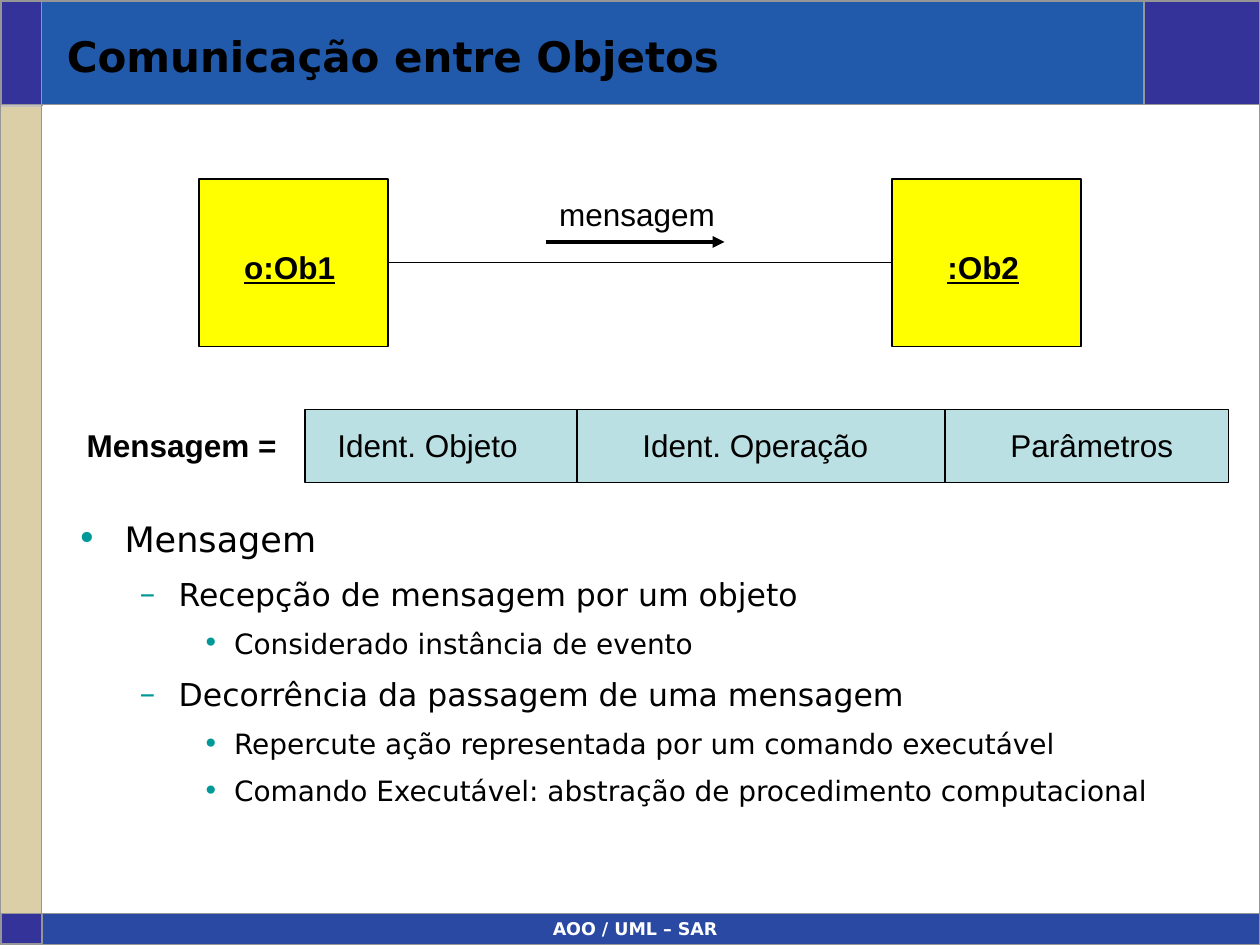
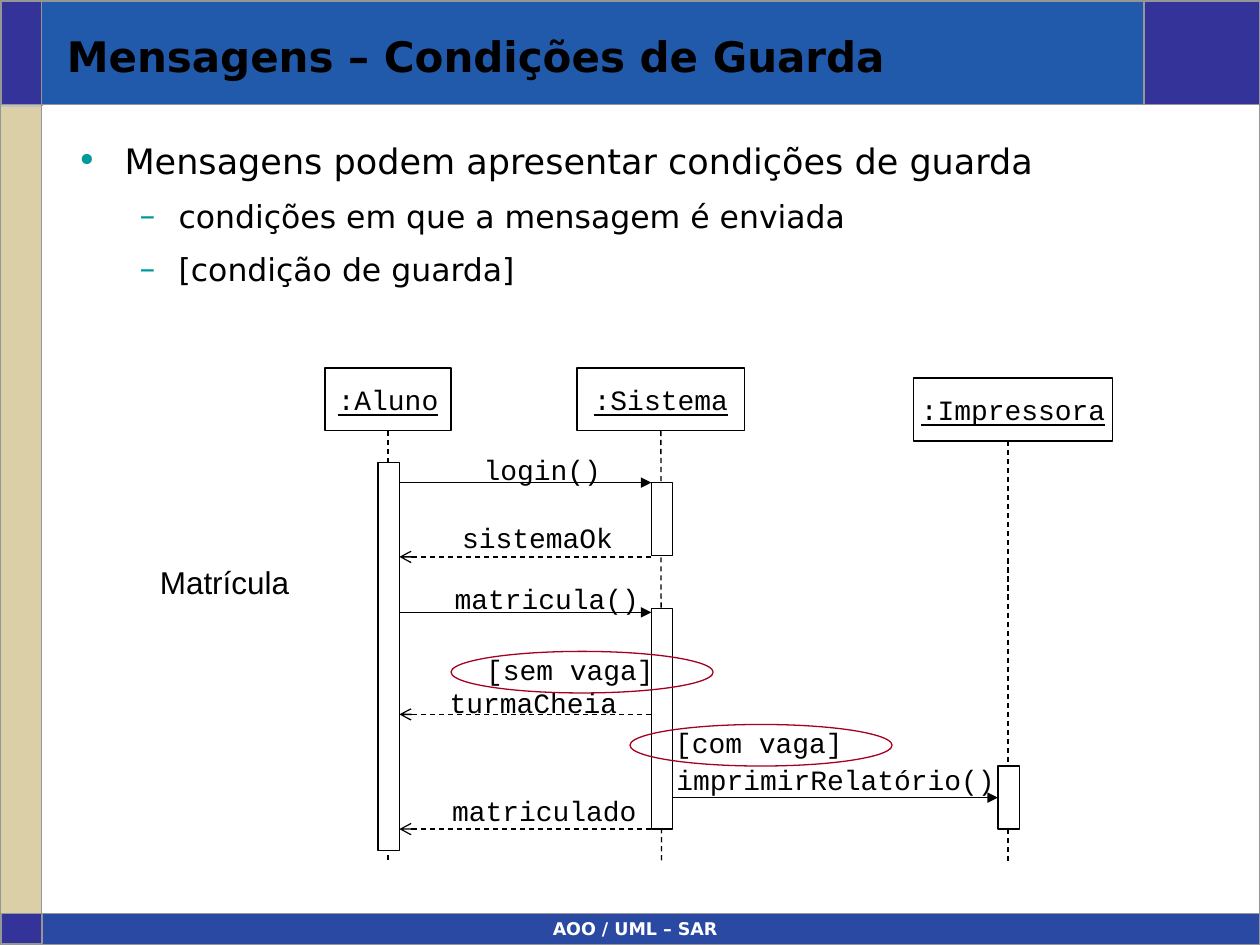
from lxml.etree import SubElement
from pptx import Presentation
from pptx.dml.color import RGBColor
from pptx.enum.dml import MSO_LINE
from pptx.enum.shapes import MSO_CONNECTOR, MSO_SHAPE
from pptx.enum.text import MSO_ANCHOR, MSO_AUTO_SIZE, PP_ALIGN
from pptx.oxml.ns import qn
from pptx.util import Inches, Pt

BLACK = RGBColor(0x00, 0x00, 0x00)
WHITE = RGBColor(0xFF, 0xFF, 0xFF)
GRAY = RGBColor(0x96, 0x96, 0x96)
SILVER = RGBColor(0xC0, 0xC0, 0xC0)
INDIGO = RGBColor(0x33, 0x33, 0x99)
BLUE = RGBColor(0x21, 0x59, 0xAB)
FOOTER_BLUE = RGBColor(0x29, 0x49, 0xA3)
SAND = RGBColor(0xDA, 0xCF, 0xA6)
TEAL = RGBColor(0x00, 0x99, 0x99)
YELLOW = RGBColor(0xFF, 0xFF, 0x00)
PALE_BLUE = RGBColor(0xBB, 0xE0, 0xE3)
RED = RGBColor(0xA5, 0x00, 0x21)

SANS, ARIAL, MONO = "DejaVu Sans", "Arial", "Courier New"
TITLES = ["Comunicação entre Objetos", "Mensagens – Condições de Guarda"]

# Top of the bullet text and its (level, text) items, per slide
BODIES = [
    (3.99, [
        (0, "Mensagem"),
        (1, "Recepção de mensagem por um objeto"),
        (2, "Considerado instância de evento"),
        (1, "Decorrência da passagem de uma mensagem"),
        (2, "Repercute ação representada por um comando executável"),
        (2, "Comando Executável: abstração de procedimento computacional"),
    ]),
    (0.99, [
        (0, "Mensagens podem apresentar condições de guarda"),
        (1, "condições em que a mensagem é enviada"),
        (1, "[condição de guarda]"),
    ]),
]
BODY_BOTTOM = 6.83
# Bullet, left margin, hanging indent, size, space before, per level
LEVELS = [("•", 0.38, 0.38, 20, 5), ("–", 0.81, 0.31, 18, 4.5), ("•", 1.25, 0.25, 16, 4)]


def add_box(s, at, text=None, size=18, font=ARIAL, color=BLACK, bold=None, underline=None,
            shape=None, fill=None, line=None, width=0.75, align=None, wrap=False):
    """Add a text box, or a preset shape when one is given."""
    pos = [Inches(v) for v in at]
    if shape is None:
        sp = s.shapes.add_textbox(*pos)
    else:
        sp = s.shapes.add_shape(shape, *pos)
        sp.shadow.inherit = False
        if fill is None:
            sp.fill.background()
        else:
            sp.fill.solid()
            sp.fill.fore_color.rgb = fill
        if line is None:
            sp.line.fill.background()
        else:
            sp.line.color.rgb = line
            sp.line.width = Pt(width)
    if text:
        tf = sp.text_frame
        tf.word_wrap = wrap
        if shape is None and not wrap:
            tf.auto_size = MSO_AUTO_SIZE.SHAPE_TO_FIT_TEXT
        p = tf.paragraphs[0]
        p.alignment = align
        r = p.add_run()
        r.text = text
        r.font.name, r.font.size = font, Pt(size)
        r.font.bold, r.font.underline = bold, underline
        r.font.color.rgb = color
    return sp


def add_line(s, x1, y1, x2, y2, color=BLACK, width=0.75, dash=False, head=None):
    cx = s.shapes.add_connector(MSO_CONNECTOR.STRAIGHT, *[Inches(v) for v in (x1, y1, x2, y2)])
    cx.line.color.rgb = color
    cx.line.width = Pt(width)
    if dash:
        cx.line.dash_style = MSO_LINE.DASH
    if head:
        SubElement(cx.line._get_or_add_ln(), qn("a:tailEnd"), type=head)
    SubElement(cx._element.spPr, qn("a:effectLst"))
    return cx


prs = Presentation()
prs.slide_width, prs.slide_height = Inches(10), Inches(7.5)
layout = prs.slide_layouts[5]
slides = [prs.slides.add_slide(layout) for _ in TITLES]

# Shared frame: drawn once, then moved to the layout behind its placeholders
frame = []
for at, fill, line, width in [
    ((0.01, 0.01, 0.33, 0.83), INDIGO, GRAY, 0.75),
    ((0.33, 0, 9.67, 0.83), BLUE, None, 0),
    ((0, 0.84, 0.33, 6.42), SAND, SILVER, 0.75),
    ((9.08, 0, 0.92, 0.83), INDIGO, None, 0),
    ((0.33, 7.25, 9.67, 0.25), FOOTER_BLUE, None, 0),
    ((0.01, 7.25, 0.33, 0.24), INDIGO, GRAY, 0.75),
    ((0, 0.01, 10, 7.49), None, GRAY, 1),
]:
    frame.append(add_box(slides[0], at, shape=MSO_SHAPE.RECTANGLE, fill=fill, line=line, width=width))
for ends in [(9.08, 0, 9.08, 0.83), (0, 0.83, 10, 0.83), (0.33, 0, 0.33, 7.5), (0, 7.25, 10, 7.25)]:
    frame.append(add_line(slides[0], *ends, color=GRAY, width=1))
for i, sp in enumerate(frame):
    sp._element.xpath(".//p:cNvPr")[0].set("id", str(100 + i))
    layout.shapes._spTree.insert(2 + i, sp._element)

# Footer, title and bullets of each slide
for s, title, (top, items) in zip(slides, TITLES, BODIES):
    add_box(s, (1.83, 7.24, 6.42, 0.25), "AOO / UML – SAR", 10, SANS, WHITE, bold=True,
            align=PP_ALIGN.CENTER, wrap=True)

    sp = s.shapes.title
    sp.left, sp.top, sp.width, sp.height = [Inches(v) for v in (0.43, 0.13, 8.58, 0.62)]
    tf = sp.text_frame
    tf.vertical_anchor = MSO_ANCHOR.MIDDLE
    tf.auto_size = MSO_AUTO_SIZE.NONE
    p = tf.paragraphs[0]
    p.alignment = PP_ALIGN.LEFT
    r = p.add_run()
    r.text = title
    r.font.name, r.font.size, r.font.bold = SANS, Pt(24), True
    r.font.color.rgb = BLACK

    tf = add_box(s, (0.51, top, 9.08, BODY_BOTTOM - top)).text_frame
    tf.word_wrap = True
    for i, (level, text) in enumerate(items):
        bullet, margin, hanging, size, before = LEVELS[level]
        p = tf.add_paragraph() if i else tf.paragraphs[0]
        p.level = level
        pPr = p._p.get_or_add_pPr()
        pPr.set("marL", str(Inches(margin)))
        pPr.set("indent", str(-Inches(hanging)))
        SubElement(SubElement(pPr, qn("a:buClr")), qn("a:srgbClr"), val=str(TEAL))
        SubElement(pPr, qn("a:buFont"), typeface=SANS)
        SubElement(pPr, qn("a:buChar"), char=bullet)
        p.line_spacing = 1.2
        if i:
            p.space_before = Pt(before)
        r = p.add_run()
        r.text = text
        r.font.name, r.font.size = SANS, Pt(size)
        r.font.color.rgb = BLACK

# Slide 1: two linked objects
s = slides[0]
ob1, ob2 = [add_box(s, (x, 1.42, 1.5, 1.33), shape=MSO_SHAPE.RECTANGLE, fill=YELLOW, line=BLACK)
            for x in (1.58, 7.08)]
link = add_line(s, 3.08, 2.08, 7.08, 2.08)
link.begin_connect(ob1, 3)
link.end_connect(ob2, 1)
add_line(s, 4.33, 1.92, 5.75, 1.92, width=2.25, head="triangle")
add_box(s, (4.34, 1.5, 1.47, 0.4), "mensagem")
for x, w, name in [(1.84, 0.94, "o:Ob1"), (7.42, 0.79, ":Ob2")]:
    add_box(s, (x, 1.92, w, 0.4), name, bold=True, underline=True)

# Slide 1: parts of a message
add_box(s, (2.42, 3.25, 7.33, 0.58), shape=MSO_SHAPE.RECTANGLE, fill=PALE_BLUE, line=BLACK)
for x in (4.58, 7.5):
    add_line(s, x, 3.25, x, 3.83)
add_box(s, (0.59, 3.33, 1.73, 0.4), "Mensagem =", bold=True)
for x, w, part in [(2.58, 1.65, "Ident. Objeto"), (5, 2.01, "Ident. Operação"),
                   (7.92, 1.51, "Parâmetros")]:
    add_box(s, (x, 3.33, w, 0.4), part)

# Slide 2: participants and lifelines
s = slides[1]
for x, y, w, name, life_x in [(2.58, 2.92, 1, ":Aluno", 3.08), (4.58, 2.92, 1.33, ":Sistema", 5.25),
                              (7.25, 3, 1.58, ":Impressora", 8)]:
    sp = add_box(s, (x, y, w, 0.5), name, 16, MONO, underline=True, shape=MSO_SHAPE.RECTANGLE,
                 line=BLACK, align=PP_ALIGN.CENTER)
    sp.text_frame.vertical_anchor = MSO_ANCHOR.MIDDLE
    lifeline = add_line(s, life_x, y + 0.5, life_x, 6.83, dash=True)
    if abs(x + w / 2 - life_x) < 0.02:
        lifeline.begin_connect(sp, 2)

# Slide 2: activations
for x, y, h in [(3, 3.67, 3.08), (5.17, 3.83, 0.58), (5.17, 4.83, 1.75), (7.92, 6.08, 0.5)]:
    activation = add_box(s, (x, y, 0.17, h), shape=MSO_SHAPE.RECTANGLE, fill=WHITE, line=BLACK)

# Slide 2: calls, dashed returns and their labels
for y in (3.83, 4.86):
    add_line(s, 3.17, y, 5.17, y, head="triangle")
for y in (4.42, 5.67, 6.58):
    add_line(s, 5.17, y, 3.17, y, dash=True, head="arrow")
add_line(s, 5.33, 6.33, 7.92, 6.33, head="triangle").end_connect(activation, 1)
for x, y, w, label in [
    (3.74, 3.54, 1.15, "login()"),
    (3.57, 4.08, 1.43, "sistemaOk"),
    (3.51, 4.57, 1.68, "matricula()"),
    (3.47, 5.39, 1.55, "turmaCheia"),
    (3.76, 5.13, 1.55, "[sem vaga]"),
    (3.49, 6.25, 1.68, "matriculado"),
    (5.27, 6, 2.75, "imprimirRelatório()"),
    (5.26, 5.71, 1.55, "[com vaga]"),
]:
    add_box(s, (x, y, w, 0.37), label, 16, MONO)

# Slide 2: highlighted guards and diagram name
for x, y in [(5, 5.75), (3.58, 5.17)]:
    add_box(s, (x, y, 2.08, 0.33), shape=MSO_SHAPE.OVAL, line=RED)
add_box(s, (1.17, 4.42, 1.25, 0.4), "Matrícula")

prs.save("out.pptx")
